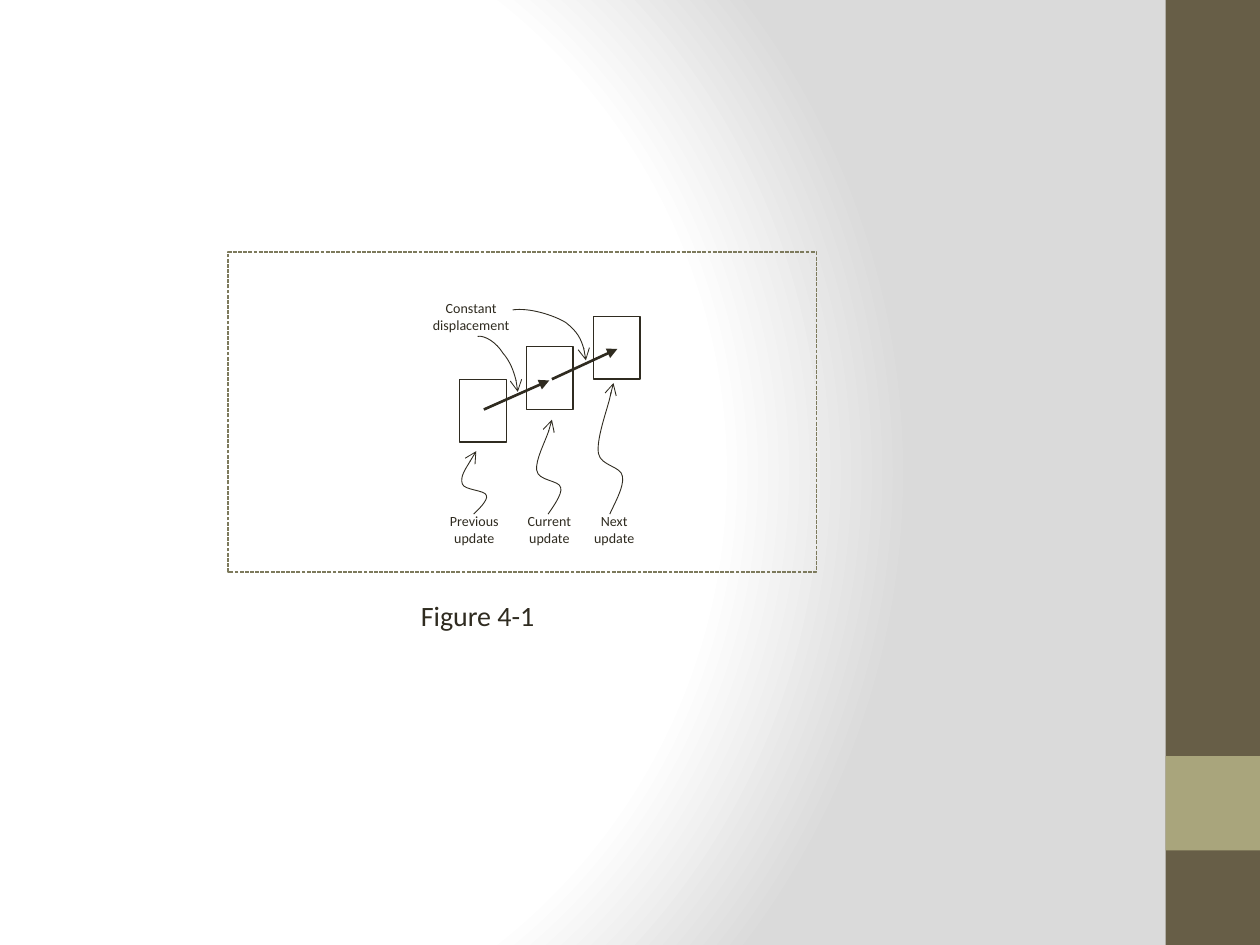
from pptx import Presentation
from pptx.dml.color import RGBColor
from pptx.enum.dml import MSO_LINE as Dash
from pptx.enum.shapes import MSO_CONNECTOR as Conn, MSO_SHAPE as Geom
from pptx.enum.text import MSO_AUTO_SIZE as Auto, PP_ALIGN as Align
from pptx.oxml import parse_xml
from pptx.oxml.ns import nsdecls
from pptx.util import Pt

INK = "2F2B20"


def paint(item, fill=None, line=None, width=0.75, end=None, kind="arrow"):
    """Set fill, line and arrowhead of a shape or connector."""
    if fill:
        item.fill.solid()
        item.fill.fore_color.rgb = RGBColor.from_string(fill)
    elif hasattr(item, "fill"):
        item.fill.background()
    if hasattr(item, "shadow"):
        item.shadow.inherit = False
    if not line:
        item.line.fill.background()
        return
    item.line.color.rgb = RGBColor.from_string(line)
    item.line.width = Pt(width)
    if end:
        stroke = item.element.xpath(".//a:ln")[0]
        stroke.append(parse_xml(f'<a:{end} {nsdecls("a")} type="{kind}"/>'))


def write(text, left, top, width, size=8, align=Align.CENTER):
    """Add a text box, one paragraph per line of text."""
    box = slide.shapes.add_textbox(Pt(left), Pt(top), Pt(width), Pt(26.6))
    frame = box.text_frame
    frame.word_wrap = True
    frame.auto_size = Auto.SHAPE_TO_FIT_TEXT
    frame.margin_left = frame.margin_right = 0
    frame.text = text
    for para in frame.paragraphs:
        para.alignment = align
        para.font.size = Pt(size)
        para.font.name = "Calibri"
        para.font.color.rgb = RGBColor.from_string(INK)


deck = Presentation()
deck.slide_width, deck.slide_height = Pt(720), Pt(540)
slide = deck.slides.add_slide(deck.slide_layouts[6])
shapes = slide.shapes

# Background: white glow fading to grey
slide.background.fill.gradient()
grad = slide.element.xpath(".//p:bgPr/a:gradFill")[0]
stops = "".join(
    f'<a:gs pos="{pos * 1000}"><a:srgbClr val="{color}"/></a:gs>'
    for pos, color in [(0, "FFFFFF"), (75, "FFFFFF"), (100, "DADADA")])
grad.getparent().replace(grad, parse_xml(
    f'<a:gradFill {nsdecls("a")} rotWithShape="1"><a:gsLst>{stops}</a:gsLst>'
    '<a:path path="circle"><a:fillToRect l="20000" t="50000" r="100000"'
    ' b="50000"/></a:path></a:gradFill>'))

# Side bar, its accent, the dashed frame and the three update boxes
rects = [
    (666, 0, 54, 540, "675E47", None),
    (666, 432, 54, 54, "A9A57C", None),
    (130.3, 144, 336.2, 182.9, None, "7D7A5C"),
]
rects += [(262.8 + 38.15 * i, top, 26.6, 36, None, INK)
          for i, top in enumerate([216.7, 198, 180.7])]
for left, top, width, height, fill, line in rects:
    rect = shapes.add_shape(Geom.RECTANGLE, Pt(left), Pt(top), Pt(width), Pt(height))
    paint(rect, fill, line)
    if line and line != INK:
        rect.line.dash_style = Dash.SQUARE_DOT

# Labels and caption
write("Previous\nupdate", 256.3, 289.4, 29.5)
write("Current\nupdate", 301, 289.4, 25.9)
write("Next\nupdate", 338.4, 289.4, 25.2)
write("Constant\ndisplacement", 245.5, 167.8, 47.5)
write("Figure 4-1", 240.5, 338.4, 167, size=16, align=Align.LEFT)

# Curved pointers: a start, then two control points and an end per bend
curves = [
    ("headEnd", [(272.2, 257.8), (270, 261.4), (262.8, 272.2), (264.2, 276.5),
                 (265, 280.1), (277.2, 280.1), (277.9, 283),
                 (279.4, 285.8), (272.2, 292.3), (270.7, 293.8)]),
    ("headEnd", [(315.4, 239.8), (314.6, 246.2), (306, 262.8), (306.7, 268.6),
                 (307.4, 275), (319.7, 274.3), (320.4, 278.6),
                 (321.8, 282.2), (314.6, 291.6), (313.2, 293.8)]),
    ("headEnd", [(350.6, 218.9), (350.4, 219.5), (349.9, 221), (348.5, 227.5),
                 (347, 234), (340.6, 251.3), (342, 259.2),
                 (343.4, 266.4), (355, 266.4), (355.7, 272.2),
                 (357.1, 277.9), (349.9, 290.2), (348.5, 293.8)]),
    ("tailEnd", [(293, 177.1), (302.4, 175.7), (316.1, 180), (323.3, 184.3),
                 (329.8, 189.4), (334.1, 196.6), (334.8, 205.9)]),
    ("tailEnd", [(272.9, 192.2), (277.2, 191.5), (283.7, 195.8), (287.3, 201.6),
                 (291.6, 206.6), (295.9, 217.4), (295.9, 223.9)]),
]
for end, points in curves:
    spots = [(Pt(x), Pt(y)) for x, y in points]
    pen = shapes.build_freeform(*spots[0])
    pen.add_line_segments(spots[1:], close=False)
    curve = pen.convert_to_shape()
    # Turn each three straight steps into one Bezier bend
    track = curve.element.xpath(".//a:path")[0]
    steps = track.xpath("./a:lnTo")
    for i in range(0, len(steps), 3):
        bend = parse_xml(f'<a:cubicBezTo {nsdecls("a")}/>')
        for step in steps[i:i + 3]:
            bend.append(step[0])
            track.remove(step)
        track.append(bend)
    paint(curve, line=INK, width=0.5, end=end)

# Displacement arrows
for x1, y1, x2, y2 in [(315.4, 216.7, 352.8, 199.4), (276.5, 234, 313.9, 217.4)]:
    arrow = shapes.add_connector(Conn.STRAIGHT, Pt(x1), Pt(y1), Pt(x2), Pt(y2))
    paint(arrow, line=INK, width=1.5, end="tailEnd", kind="triangle")
    arrow.element.spPr.append(parse_xml(f'<a:effectLst {nsdecls("a")}/>'))

deck.save("out.pptx")
